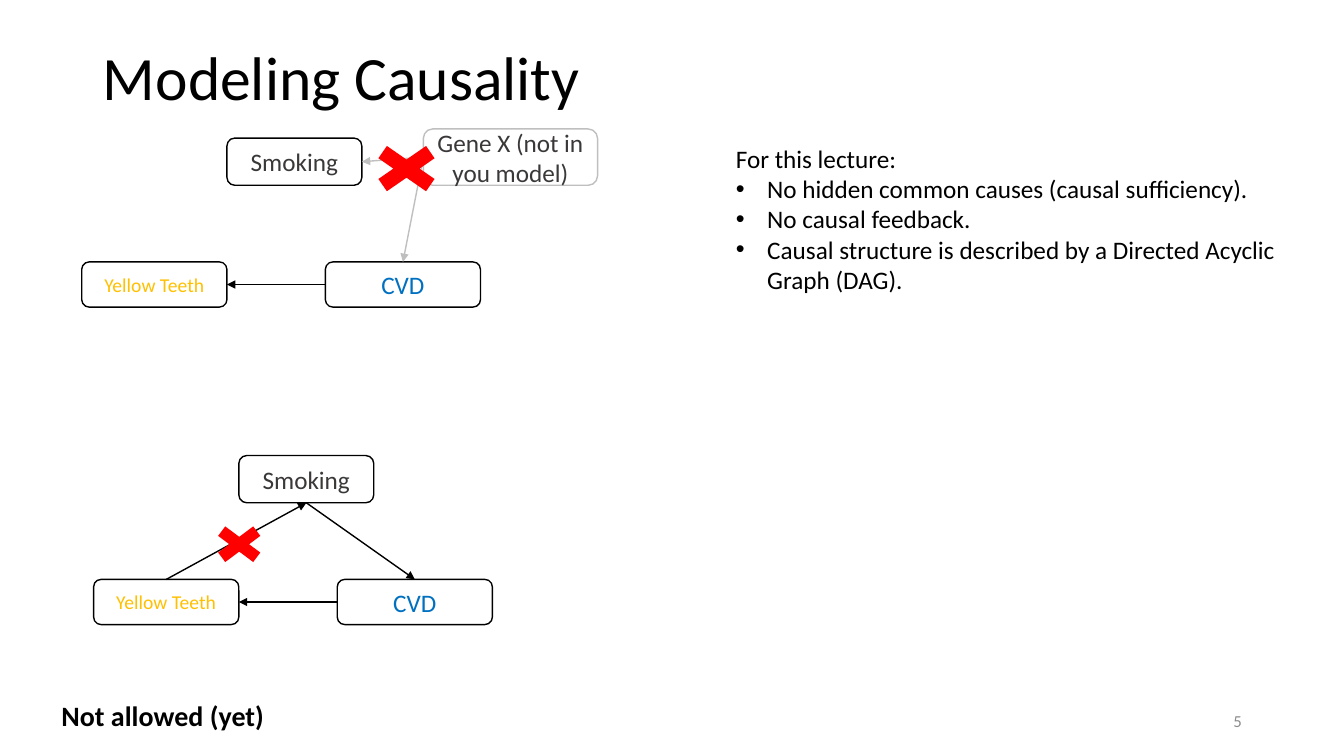
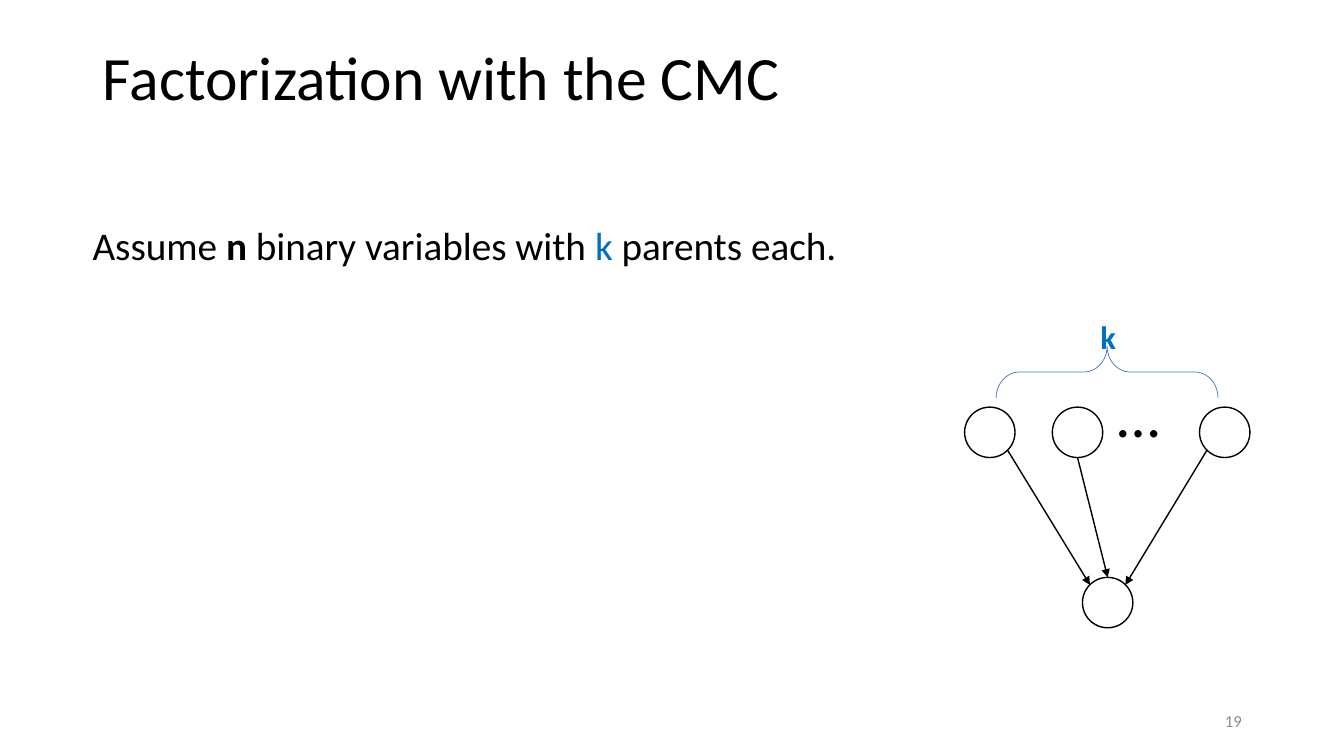
from dataclasses import dataclass

from lxml import etree
from pptx import Presentation
from pptx.dml.color import RGBColor
from pptx.enum.shapes import MSO_CONNECTOR, MSO_SHAPE
from pptx.enum.text import MSO_ANCHOR, MSO_AUTO_SIZE, PP_ALIGN
from pptx.oxml.ns import qn
from pptx.util import Cm, Pt

STRAIGHT = MSO_CONNECTOR.STRAIGHT
ROUNDED = MSO_SHAPE.ROUNDED_RECTANGLE
OVAL = MSO_SHAPE.OVAL
CROSS = MSO_SHAPE.MATH_MULTIPLY
BRACE = MSO_SHAPE.LEFT_BRACE
TOP_ANCHOR, MIDDLE_ANCHOR = MSO_ANCHOR.TOP, MSO_ANCHOR.MIDDLE
LEFT_ALIGN, CENTER_ALIGN, RIGHT_ALIGN = PP_ALIGN.LEFT, PP_ALIGN.CENTER, PP_ALIGN.RIGHT
NO_AUTOFIT = MSO_AUTO_SIZE.NONE
TOP, LEFT, BOTTOM, RIGHT = range(4)


@dataclass(frozen=True)
class Theme:
    font: str = "Calibri"
    black: str = "000000"
    white: str = "FFFFFF"
    dark: str = "3B3838"
    muted: str = "8C8C8C"
    pale: str = "BFBFBF"
    blue: str = "0070C0"
    yellow: str = "FFC000"
    red: str = "FF0000"
    brace: str = "4472C4"
    title_size: int = 44
    symbol_size: int = 40
    body_size: int = 28
    caption_size: int = 20
    text_size: int = 18
    small_size: int = 14
    number_size: int = 12


class Deck:
    def __init__(self, theme):
        self.theme = theme
        self.presentation = Presentation()
        self.presentation.slide_width = Cm(33.87)
        self.presentation.slide_height = Cm(19.05)
        self.slide = None

    def style(self, run, size, color=None, bold=False):
        run.font.name = self.theme.font
        run.font.size = Pt(size)
        run.font.bold = bold
        run.font.color.rgb = RGBColor.from_string(color or self.theme.black)

    def place(self, shape, left, top, width, height):
        shape.left, shape.top = Cm(left), Cm(top)
        shape.width, shape.height = Cm(width), Cm(height)

    def new_slide(self, title, number):
        layout = self.presentation.slide_layouts[1]
        self.slide = self.presentation.slides.add_slide(layout)
        shape = self.slide.shapes.title
        self.place(shape, 2.34, 1.02, 29.21, 2.01)
        frame = shape.text_frame
        frame.text = title
        frame.auto_size = NO_AUTOFIT
        frame.vertical_anchor = MIDDLE_ANCHOR
        paragraph = frame.paragraphs[0]
        paragraph.alignment = LEFT_ALIGN
        paragraph.line_spacing = 0.9
        self.style(paragraph.runs[0], self.theme.title_size)
        self.label(number, (23.93, 17.65, 7.62, 1.02), self.theme.number_size,
                   self.theme.muted, align=RIGHT_ALIGN, anchor=MIDDLE_ANCHOR)

    def body(self, box, lines, size, spacing=1.0, before=0):
        placeholder = self.slide.placeholders[1]
        self.place(placeholder, *box)
        frame = placeholder.text_frame
        frame.auto_size = NO_AUTOFIT
        for index, (bulleted, runs) in enumerate(lines):
            paragraph = frame.add_paragraph() if index else frame.paragraphs[0]
            paragraph.line_spacing = spacing
            paragraph.space_before = Pt(before)
            indent = Cm(0.79) if bulleted else 0
            properties = paragraph._p.get_or_add_pPr()
            properties.set("marL", str(indent))
            properties.set("indent", str(-indent))
            if not bulleted:
                etree.SubElement(properties, qn("a:buNone"))
            for text, color, bold in runs:
                run = paragraph.add_run()
                run.text = text
                self.style(run, size, color, bold)

    def label(self, text, box, size, color=None, bold=False,
              align=LEFT_ALIGN, anchor=TOP_ANCHOR, wrap=True):
        shape = self.slide.shapes.add_textbox(*map(Cm, box))
        frame = shape.text_frame
        frame.text = text
        frame.word_wrap = wrap
        frame.vertical_anchor = anchor
        paragraph = frame.paragraphs[0]
        paragraph.alignment = align
        self.style(paragraph.runs[0], size, color, bold)
        return paragraph.runs[0]

    def shape(self, kind, box, fill=None, line=None, weight=1):
        shape = self.slide.shapes.add_shape(kind, *map(Cm, box))
        shape.shadow.inherit = False
        if fill:
            shape.fill.solid()
            shape.fill.fore_color.rgb = RGBColor.from_string(fill)
        else:
            shape.fill.background()
        if line:
            shape.line.color.rgb = RGBColor.from_string(line)
            shape.line.width = Pt(weight)
        else:
            shape.line.fill.background()
        return shape

    def node(self, text, box, color, size=None, line=None):
        shape = self.shape(ROUNDED, box, self.theme.white, line or self.theme.black)
        frame = shape.text_frame
        frame.text = text
        frame.word_wrap = True
        frame.vertical_anchor = MIDDLE_ANCHOR
        paragraph = frame.paragraphs[0]
        paragraph.alignment = CENTER_ALIGN
        self.style(paragraph.runs[0], size or self.theme.text_size, color)
        return shape

    def circle(self, left, top):
        return self.shape(OVAL, (left, top, 1.27, 1.27), self.theme.white, self.theme.black)

    def cross(self, *box):
        self.shape(CROSS, box, self.theme.red)

    def arrow(self, start, end, color=None):
        connector = self.slide.shapes.add_connector(STRAIGHT, *start, *end)
        connector.line.color.rgb = RGBColor.from_string(color or self.theme.black)
        connector.line.width = Pt(1)
        line = connector.line._get_or_add_ln()
        etree.SubElement(line, qn("a:tailEnd"), type="triangle")
        etree.SubElement(connector._element.spPr, qn("a:effectLst"))
        return connector

    def link(self, source, source_side, target, target_side, color=None):
        connector = self.arrow((0, 0), (0, 0), color)
        connector.begin_connect(source, source_side)
        connector.end_connect(target, target_side)

    def causal_nodes(self, left, top):
        theme = self.theme
        smoking = self.node("Smoking", (left + 3.66, top, 3.4, 1.19), theme.dark)
        teeth = self.node("Yellow Teeth", (left, top + 3.12, 3.66, 1.14),
                          theme.yellow, theme.small_size)
        disease = self.node("CVD", (left + 6.14, top + 3.12, 3.91, 1.14), theme.blue)
        self.link(disease, LEFT, teeth, RIGHT)
        return smoking, teeth, disease


def point_on(shape, across, down):
    return (shape.left + round(shape.width * across),
            shape.top + round(shape.height * down))


def build_modeling(deck):
    theme = deck.theme
    deck.new_slide("Modeling Causality", "5")

    smoking, teeth, disease = deck.causal_nodes(2.36, 11.48)
    deck.link(smoking, BOTTOM, disease, TOP)
    deck.link(teeth, TOP, smoking, BOTTOM)
    deck.cross(5.18, 13.08, 1.7, 1.27)

    smoking, teeth, disease = deck.causal_nodes(2.06, 3.48)
    gene = deck.node("Gene X (not in you model)", (10.67, 3.25, 4.39, 1.42),
                     theme.dark, line=theme.pale)
    deck.link(gene, LEFT, disease, TOP, theme.pale)
    deck.link(gene, LEFT, smoking, RIGHT, theme.pale)
    deck.cross(9.09, 3.45, 2.31, 1.6)

    deck.label("Not allowed (yet)", (1.3, 17.48, 6.88, 1.12), theme.caption_size, bold=True)
    assumptions = [
        "No hidden common causes (causal sufficiency).",
        "No causal feedback.",
        "Causal structure is described by a Directed Acyclic Graph (DAG).",
    ]
    lines = [(False, [("For this lecture:", theme.black, False)])]
    lines += [(True, [(text, theme.black, False)]) for text in assumptions]
    deck.body((18.29, 3.48, 14.35, 4.88), lines, theme.text_size)


def build_factorization(deck):
    theme = deck.theme
    deck.new_slide("Factorization with the CMC", "19")
    sentence = [
        ("Assume ", theme.black, False),
        ("n", theme.black, True),
        (" binary variables with ", theme.black, False),
        ("k", theme.blue, False),
        (" parents each.", theme.black, False),
    ]
    deck.body((2.08, 5.59, 23.04, 10.85), [(False, sentence)], theme.body_size, 0.9, 10)

    child = deck.circle(27.28, 14.55)
    near, far = 0.15, 0.85
    parents = [
        (24.31, (far, far), (near, near)),
        (26.52, (0.5, 1), (0.5, 0)),
        (30.23, (near, far), (far, near)),
    ]
    for left, start, end in parents:
        parent = deck.circle(left, 10.26)
        deck.arrow(point_on(parent, *start), point_on(child, *end))
    deck.label("…", (27.91, 9.35, 2.34, 2.13), theme.title_size)

    brace = deck.shape(BRACE, (27.25, 6.58, 1.3, 5.59), line=theme.brace, weight=0.5)
    brace.adjustments[0] = 0.45
    brace.rotation = 90
    count = deck.label("k", (27.48, 7.7, 0.97, 1.96), theme.symbol_size,
                       theme.blue, bold=True, wrap=False)
    count._r.get_or_add_rPr().set("baseline", "30000")


deck = Deck(Theme())
build_modeling(deck)
build_factorization(deck)
deck.presentation.save("out.pptx")
